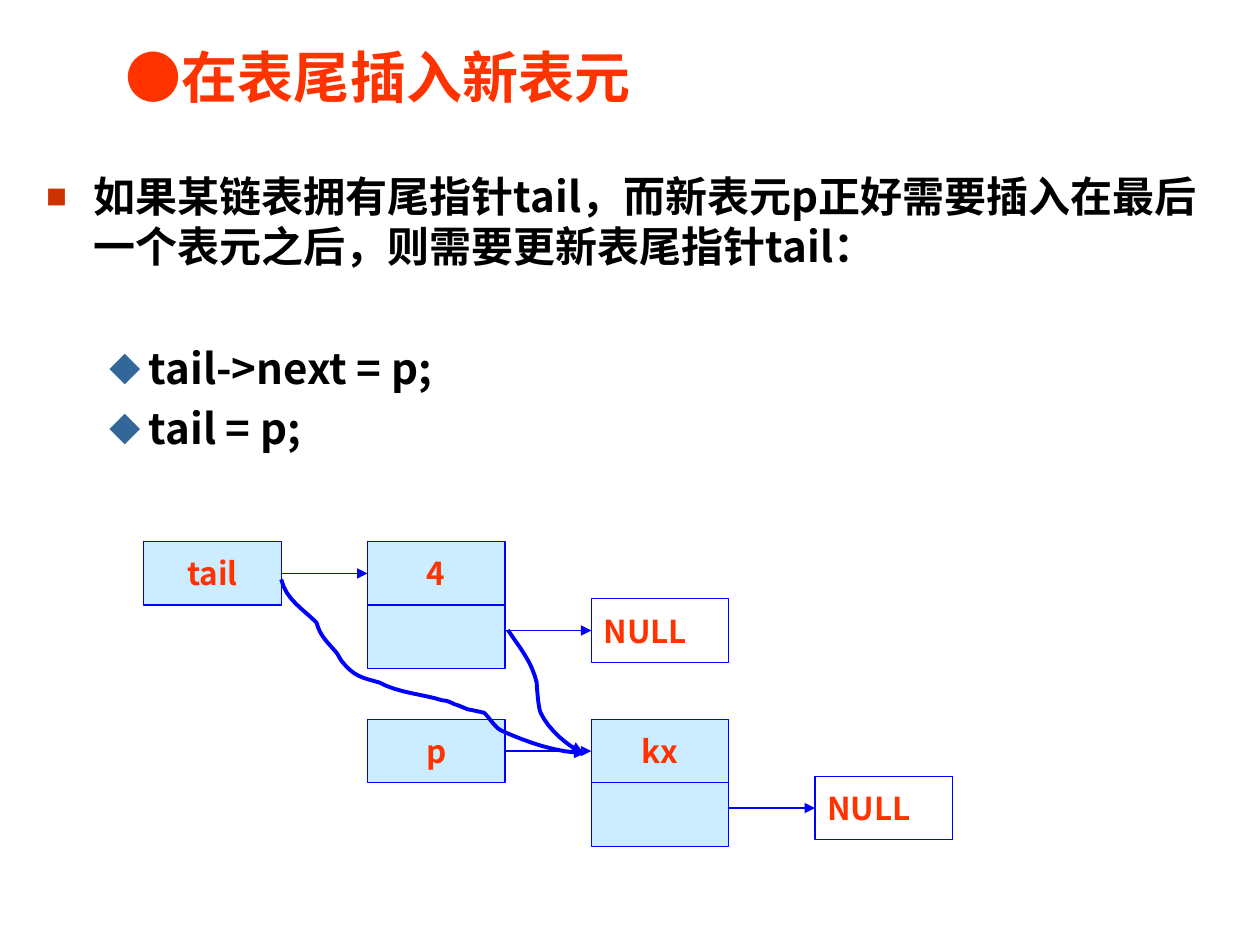
from lxml import etree
from pptx import Presentation
from pptx import util as u
from pptx.dml.color import RGBColor
from pptx.enum import shapes, text
from pptx.oxml.ns import qn

HUES = {"red": "FF3300", "ink": "010000", "line": "0000FF", "cell": "CCECFF",
        "square": "CC3300", "gem": "336699"}
FONT = "Noto Sans CJK SC"
CELL_W, CELL_H = 2.77, 1.28


def rgb(name):
    return RGBColor.from_string(HUES[name])


def add(node, tag, **attrs):
    return etree.SubElement(node, qn(tag), attrs)


def style(para, size, hue):
    for run in para.runs:
        run.font.size = u.Pt(size)
        run.font.bold = True
        run.font.name = FONT
        run.font.color.rgb = rgb(hue)
        add(run._r.get_or_add_rPr(), "a:ea", typeface=FONT)


def bullet(para, mark, hue, size, left, hang):
    props = para._p.get_or_add_pPr()
    props.set("marL", str(u.Cm(left)))
    props.set("indent", str(-u.Cm(hang)))
    add(add(props, "a:buClr"), "a:srgbClr", val=HUES[hue])
    add(props, "a:buSzPct", val=str(size * 1000))
    add(props, "a:buFont", typeface=FONT)
    add(props, "a:buChar", char=mark)


def frame(slide, x, y, w, h):
    box = slide.shapes.add_textbox(u.Cm(x), u.Cm(y), u.Cm(w), u.Cm(h))
    box.text_frame.word_wrap = True
    return box.text_frame


def title(slide, x, y, w, h):
    tf = frame(slide, x, y, w, h)
    tf.vertical_anchor = text.MSO_ANCHOR.MIDDLE
    tf.text = "●在表尾插入新表元"
    tf.paragraphs[0].line_spacing = 0.7
    style(tf.paragraphs[0], 32, "red")


def body(slide, x, y, w, h):
    tf = frame(slide, x, y, w, h)
    square = ("■", "square", 50, 0.95, 0.95)
    gem = ("◆", "gem", 75, 2.06, 0.79)
    rows = [("如果某链表拥有尾指针tail，而新表元p正好需要插入在最后一个表元之后，"
             "则需要更新表尾指针tail：", square, 0, 0),
            ("tail->next = p;", gem, 1, 41),
            ("tail = p;", gem, 1, 6)]
    for i, (words, mark, level, gap) in enumerate(rows):
        para = tf.add_paragraph() if i else tf.paragraphs[0]
        para.text = words
        para.level = level
        para.line_spacing = u.Pt(28.5)
        if gap:
            para.space_before = u.Pt(gap)
        bullet(para, *mark)
        style(para, 24, "ink")


def cell(slide, x, y, words="", null=False):
    box = slide.shapes.add_shape(shapes.MSO_SHAPE.RECTANGLE, u.Cm(x), u.Cm(y),
                                 u.Cm(CELL_W), u.Cm(CELL_H))
    box.shadow.inherit = False
    box.line.color.rgb = rgb("line")
    box.line.width = u.Pt(0.75)
    if null:
        box.fill.background()
    else:
        box.fill.solid()
        box.fill.fore_color.rgb = rgb("cell")
    if words:
        tf = box.text_frame
        tf.word_wrap = False
        tf.vertical_anchor = text.MSO_ANCHOR.MIDDLE
        tf.text = words
        para = tf.paragraphs[0]
        para.alignment = text.PP_ALIGN.LEFT if null else text.PP_ALIGN.CENTER
        style(para, 18, "red")


def ink(shape, width):
    shape.line.color.rgb = rgb("line")
    shape.line.width = u.Pt(width)
    add(shape.line._get_or_add_ln(), "a:tailEnd", type="triangle")


def arrow(slide, x, y, length):
    link = slide.shapes.add_connector(shapes.MSO_CONNECTOR.STRAIGHT, u.Cm(x), u.Cm(y),
                                      u.Cm(x + length), u.Cm(y))
    ink(link, 0.75)
    add(link._element.spPr, "a:effectLst")


def curve(slide, x, y, start, bends, steps=8):
    """Draw joined cubic bends; each is two handles and an end point."""
    dots, a = [], start
    for b, c, d in bends:
        for t in (n / steps for n in range(1, steps + 1)):
            s = 1 - t
            dots.append(tuple(s**3 * i + 3 * s * s * t * j + 3 * s * t * t * k + t**3 * m
                              for i, j, k, m in zip(a, b, c, d)))
        a = d
    pen = slide.shapes.build_freeform(u.Cm(x + start[0]), u.Cm(y + start[1]))
    pen.add_line_segments([(u.Cm(x + p), u.Cm(y + q)) for p, q in dots], close=False)
    shape = pen.convert_to_shape()
    shape.shadow.inherit = False
    shape.fill.background()
    ink(shape, 2.25)


def linked(slide, x, y, name, value, gap):
    """Pointer cell, the node it points to, and the node's NULL link."""
    step = CELL_W + gap
    cell(slide, x, y, name)
    cell(slide, x + step, y, value)
    cell(slide, x + step, y + CELL_H, "")
    cell(slide, x + 2 * step, y + 1.15, "NULL", null=True)
    arrow(slide, x + CELL_W, y + CELL_H / 2, gap)
    arrow(slide, x + step + CELL_W, y + 1.79, gap)


def diagram(slide, x, y):
    gap = 1.74
    linked(slide, x, y, "tail", "4", gap)
    linked(slide, x + CELL_W + gap, y + 3.58, "p", "kx", gap)
    # New links to the inserted node
    curve(slide, x, y, (7.34, 1.78), [
        ((7.57, 2.13), (7.82, 2.41), (7.92, 2.84)),
        ((7.92, 2.87), (7.95, 3.35), (8, 3.45)),
        ((8.15, 3.78), (8.56, 4.14), (8.86, 4.26))])
    curve(slide, x, y, (2.77, 0.76), [
        ((2.87, 1.17), (3.2, 1.35), (3.48, 1.63)),
        ((3.56, 1.9), (3.66, 1.98), (3.86, 2.21)),
        ((3.91, 2.26), (3.94, 2.34), (3.99, 2.41)),
        ((4.24, 2.72), (4.39, 2.74), (4.75, 2.84)),
        ((5.13, 3.05), (5.61, 3.07), (6.02, 3.2)),
        ((6.12, 3.2), (6.2, 3.25), (6.27, 3.28)),
        ((6.35, 3.3), (6.45, 3.35), (6.53, 3.38)),
        ((6.65, 3.4), (6.86, 3.45), (6.86, 3.45)),
        ((6.98, 3.56), (7.06, 3.73), (7.21, 3.81)),
        ((7.72, 4.04), (8.33, 4.26), (8.91, 4.26))])


def main():
    deck = Presentation()
    deck.slide_width, deck.slide_height = u.Cm(25.4), u.Cm(19.05)
    slide = deck.slides.add_slide(deck.slide_layouts[6])
    title(slide, 2.29, 0.53, 12.14, 2.34)
    body(slide, 0.69, 3.33, 24, 6.99)
    diagram(slide, 2.9, 10.92)
    deck.save("out.pptx")


if __name__ == "__main__":
    main()
